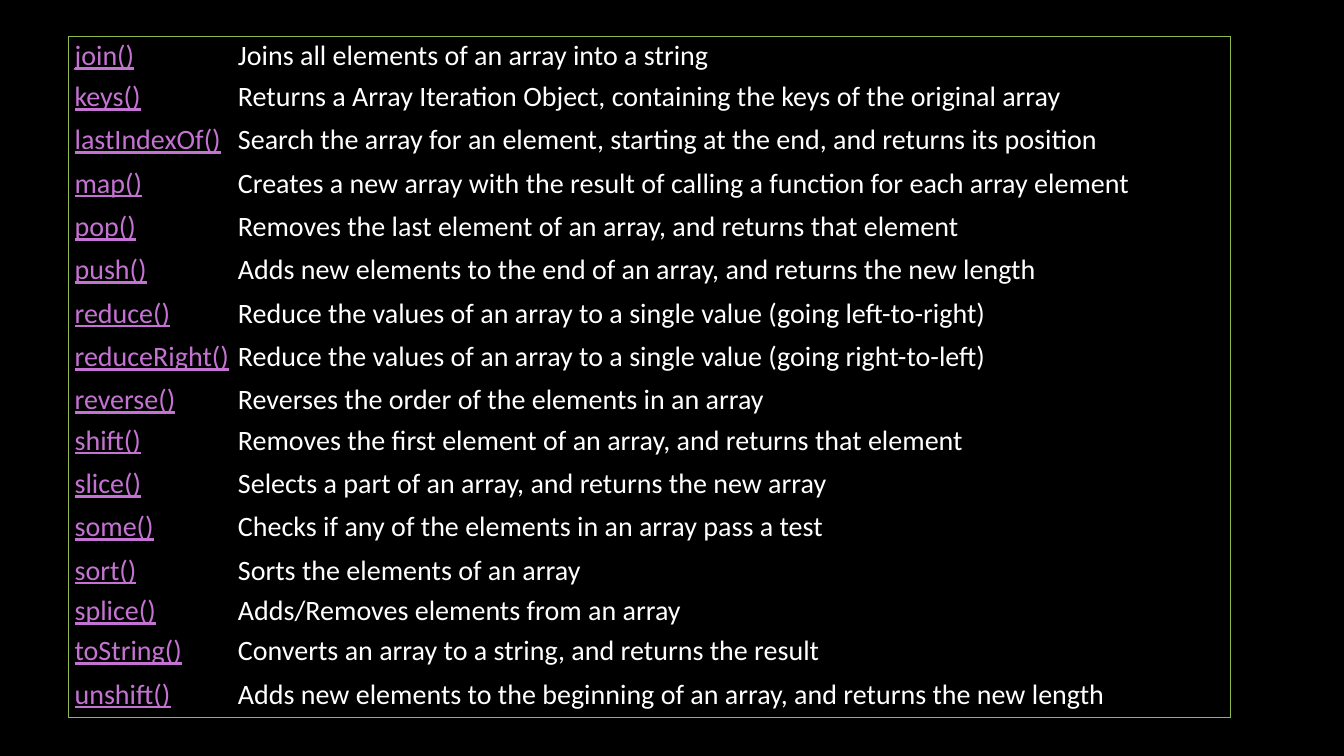
from lxml import etree
from pptx import Presentation
from pptx.dml.color import RGBColor
from pptx.enum.text import MSO_ANCHOR
from pptx.oxml.ns import qn
from pptx.util import Inches, Pt

TOP = MSO_ANCHOR.TOP
COLORS = {"background": "000000", "method": "C573D2", "text": "FFFFFF", "border": "90BA4C"}
METHODS = [
    ("join()", "Joins all elements of an array into a string"),
    ("keys()", "Returns a Array Iteration Object, containing the keys of the original array"),
    ("lastIndexOf()", "Search the array for an element, starting at the end, and returns its position"),
    ("map()", "Creates a new array with the result of calling a function for each array element"),
    ("pop()", "Removes the last element of an array, and returns that element"),
    ("push()", "Adds new elements to the end of an array, and returns the new length"),
    ("reduce()", "Reduce the values of an array to a single value (going left-to-right)"),
    ("reduceRight()", "Reduce the values of an array to a single value (going right-to-left)"),
    ("reverse()", "Reverses the order of the elements in an array"),
    ("shift()", "Removes the first element of an array, and returns that element"),
    ("slice()", "Selects a part of an array, and returns the new array"),
    ("some()", "Checks if any of the elements in an array pass a test"),
    ("sort()", "Sorts the elements of an array"),
    ("splice()", "Adds/Removes elements from an array"),
    ("toString()", "Converts an array to a string, and returns the result"),
    ("unshift()", "Adds new elements to the beginning of an array, and returns the new length"),
]
SHORT_ROWS = {"join()", "reverse()", "sort()", "splice()"}
ROW_HEIGHT, SHORT_HEIGHT = 0.43, 0.4
METHOD_WIDTH = 1.65
FORMATS = [
    {"font": {"name": "Calibri", "size": Pt(20), "underline": True, "bold": False},
     "color": "method", "left": 0.06},
    {"font": {"name": "Calibri", "size": Pt(20), "underline": False, "bold": False},
     "color": "text", "left": 0.03},
]


def rgb(name):
    return RGBColor.from_string(COLORS[name])


def set_attrs(obj, values):
    for name, value in values.items():
        setattr(obj, name, value)


def set_borders(cell, sides):
    tc_pr = cell._tc.get_or_add_tcPr()
    for side, shown in sides.items():
        ln = etree.SubElement(tc_pr, qn(f"a:ln{side}"), w=str(Pt(0.75)))
        if shown:
            fill = etree.SubElement(ln, qn("a:solidFill"))
            etree.SubElement(fill, qn("a:srgbClr"), val=COLORS["border"])
        else:
            etree.SubElement(ln, qn("a:noFill"))


def fill_cell(cell, text, fmt, sides):
    set_attrs(cell, {"margin_left": Inches(fmt["left"]), "margin_right": Inches(0.03),
                     "margin_top": Inches(0.03), "margin_bottom": Inches(0.03),
                     "vertical_anchor": TOP})
    set_borders(cell, sides)
    cell.fill.background()
    r = cell.text_frame.paragraphs[0].add_run()
    r.text = text
    set_attrs(r.font, fmt["font"])
    r.font.color.rgb = rgb(fmt["color"])


def add_method_table(slide, left, top, width):
    heights = [SHORT_HEIGHT if name in SHORT_ROWS else ROW_HEIGHT for name, _ in METHODS]
    table = slide.shapes.add_table(len(METHODS), 2, Inches(left), Inches(top),
                                   Inches(width), Inches(sum(heights))).table
    set_attrs(table, {"first_row": False, "horz_banding": False})
    for col, col_width in zip(table.columns, (METHOD_WIDTH, width - METHOD_WIDTH)):
        col.width = Inches(col_width)
    last = len(METHODS) - 1
    for i, (entry, height) in enumerate(zip(METHODS, heights)):
        table.rows[i].height = Inches(height)
        for j, (text, fmt) in enumerate(zip(entry, FORMATS)):
            sides = {"L": j == 0, "R": j == 1, "T": i == 0, "B": i == last}
            fill_cell(table.cell(i, j), text, fmt, sides)


def build_slide(prs):
    slide = prs.slides.add_slide(prs.slide_layouts[6])
    slide.background.fill.solid()
    slide.background.fill.fore_color.rgb = rgb("background")
    add_method_table(slide, 0.68, 0.36, 11.52)


prs = Presentation()
set_attrs(prs, {"slide_width": Inches(13.33), "slide_height": Inches(7.5)})
build_slide(prs)
prs.save("out.pptx")
